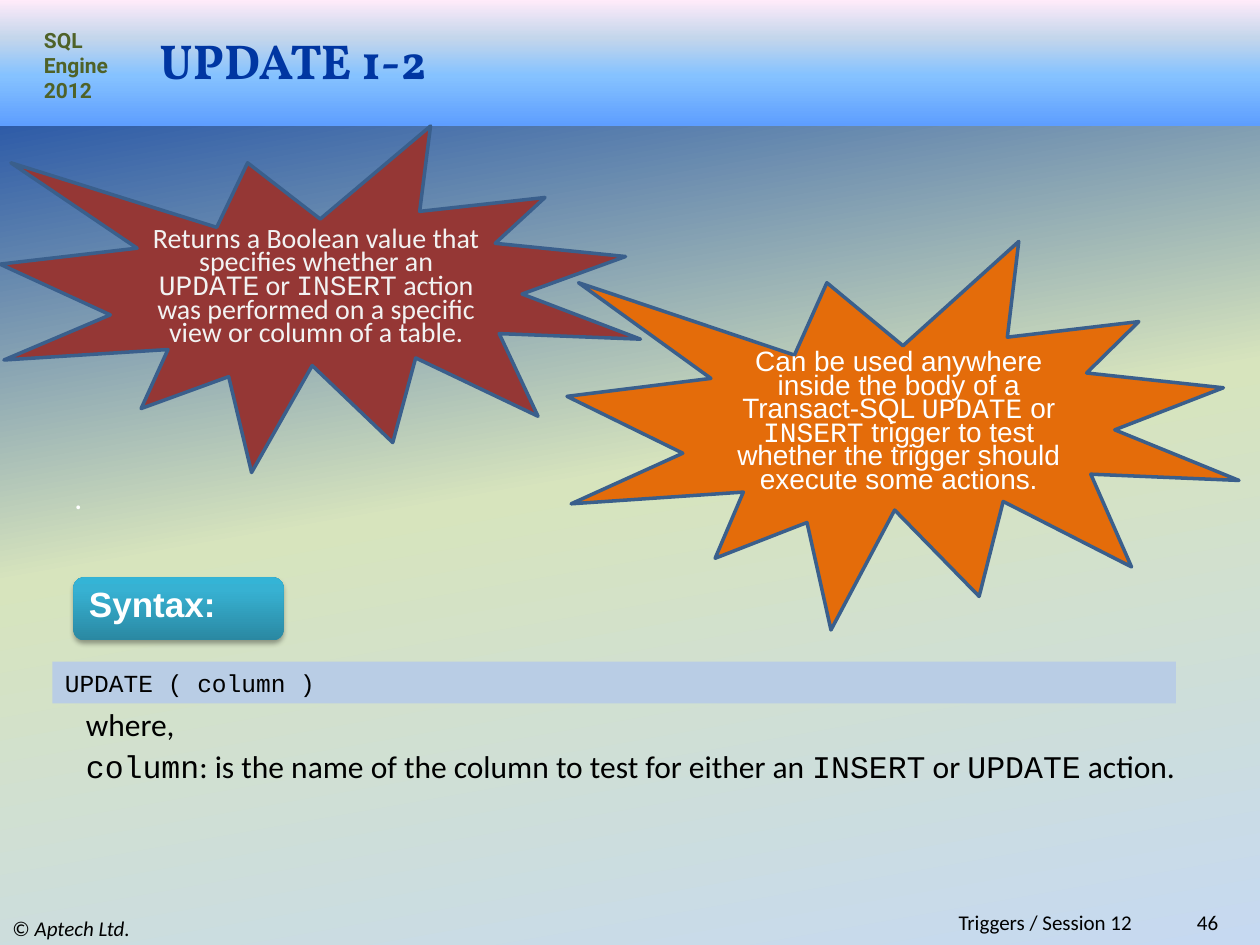
from lxml.etree import SubElement
from pptx import Presentation
from pptx.dml.color import RGBColor
from pptx.enum.shapes import MSO_SHAPE as Shape
from pptx.enum.text import MSO_ANCHOR as Anchor, PP_ALIGN as Align
from pptx.oxml.ns import qn
from pptx.util import Inches, Pt

BLACK = RGBColor(0, 0, 0)
WHITE = RGBColor(255, 255, 255)
PALE = RGBColor(0xF2, 0xF2, 0xF2)
NAVY = RGBColor(0x00, 0x36, 0xA2)
OLIVE = RGBColor(0x4F, 0x62, 0x28)
MAROON = RGBColor(0x95, 0x37, 0x35)
ORANGE = RGBColor(0xE4, 0x6C, 0x0A)
EDGE = RGBColor(0x3A, 0x5F, 0x8C)
CODE_BAND = RGBColor(0xB9, 0xCD, 0xE5)
SKY = [(0, NAVY), (50, RGBColor(0xD7, 0xE4, 0xBD)), (100, RGBColor(0xC6, 0xD9, 0xF1))]
HEADER = [(0, RGBColor(0x5E, 0x9E, 0xFF)), (40, RGBColor(0x85, 0xC2, 0xFF)),
          (70, RGBColor(0xC4, 0xD6, 0xEB)), (100, RGBColor(0xFF, 0xEB, 0xFA))]
TEAL = [(0, RGBColor(0x2A, 0x88, 0xA2)), (80, RGBColor(0x37, 0xB1, 0xD2)),
        (100, RGBColor(0x34, 0xB4, 0xD6))]
CODE = "Courier New"
CELL = Inches(1) / 12  # the page is a grid of 120 columns by 90 rows


def paint_gradient(fill, element, stops, angle):
    """Fill with any number of stops; the angle runs counter-clockwise."""
    fill.gradient()
    fill.gradient_angle = angle
    stop_list = element.find(".//" + qn("a:gsLst"))
    for old in list(stop_list):
        stop_list.remove(old)
    for position, color in stops:
        stop = SubElement(stop_list, qn("a:gs"), pos=str(position * 1000))
        SubElement(stop, qn("a:srgbClr"), val=str(color))


def write(box, lines, size, color, font="Calibri", accent=CODE, bold=False,
          align=Align.LEFT, anchor=Anchor.MIDDLE, spacing=None):
    """Write one paragraph per line; words in backticks take the accent font."""
    frame = box.text_frame
    frame.word_wrap = True
    frame.vertical_anchor = anchor
    for row, line in enumerate(lines):
        para = frame.add_paragraph() if row else frame.paragraphs[0]
        para.alignment = align
        if spacing:
            para.line_spacing = spacing
        if row:
            para.space_before = Pt(size / 2)
        for number, words in enumerate(line.split("`")):
            if words:
                span = para.add_run()
                span.text = words
                span.font.name = accent if number % 2 else font
                span.font.size = Pt(size)
                span.font.bold = bold
                span.font.color.rgb = color


deck = Presentation()
deck.slide_width, deck.slide_height = Inches(10), Inches(7.5)
page = deck.slides.add_slide(deck.slide_layouts[6])
paint_gradient(page.background.fill, page.element, SKY, 280)

# Plain shapes: preset, then left, top, width, height in grid cells
shapes = []
for preset, *cells in [
    (Shape.RECTANGLE, 0, 0, 120, 12),
    (Shape.EXPLOSION1, 0, 12, 61, 33),
    (Shape.EXPLOSION1, 54, 23, 64, 37),
    (Shape.RECTANGLE, 5, 63, 107, 4),
    (Shape.ROUNDED_RECTANGLE, 7, 55, 20, 6),
]:
    shape = page.shapes.add_shape(preset, *[int(n * CELL) for n in cells])
    shape.shadow.inherit = False
    shape.line.fill.background()
    shapes.append(shape)
header, returns_seal, usage_seal, code_band, syntax_button = shapes

paint_gradient(header.fill, header.element, HEADER, 90)

for seal, fill, color, font, words in [
    (returns_seal, MAROON, PALE, "Calibri",
     "Returns a Boolean value that specifies whether an `UPDATE` or `INSERT` action "
     "was performed on a specific view or column of a table."),
    (usage_seal, ORANGE, WHITE, "Arial",
     "Can be used anywhere inside the body of a Transact-SQL `UPDATE` or `INSERT` "
     "trigger to test whether the trigger should execute some actions."),
]:
    seal.fill.solid()
    seal.fill.fore_color.rgb = fill
    seal.line.color.rgb = EDGE
    seal.line.width = Pt(2)
    write(seal, [words], 16, color, font, align=Align.CENTER, spacing=0.7)

code_band.fill.solid()
code_band.fill.fore_color.rgb = CODE_BAND
write(code_band, ["UPDATE ( column )"], 14, BLACK, CODE, anchor=Anchor.TOP)

paint_gradient(syntax_button.fill, syntax_button.element, TEAL, 90)
effects = syntax_button.element.spPr.find(qn("a:effectLst"))
shadow = SubElement(effects, qn("a:outerShdw"), blurRad=str(Pt(3.1)), dist=str(Pt(1.8)),
                    dir="5400000", rotWithShape="0")
shadow_color = SubElement(shadow, qn("a:srgbClr"), val=str(BLACK))
SubElement(shadow_color, qn("a:alpha"), val="35000")
write(syntax_button, ["Syntax:"], 20, WHITE, "Arial", bold=True, spacing=0.7)

# Text boxes: cells, lines, size, colour, then other settings
boxes = []
for cells, lines, size, color, settings in [
    ((0, 86.75, 40, 3.25), ["© `Aptech Ltd.`"], 12, BLACK, dict(accent="Calibri")),
    ((3, 2, 9, 8.5), ["SQL Engine 2012"], 12, OLIVE,
     dict(font="Roboto", bold=True, anchor=Anchor.TOP)),
    ((107, 86.75, 10.2, 2.2), ["46"], 12, BLACK, dict(align=Align.RIGHT)),
    ((30, 86.75, 79, 2.2), ["Triggers / Session 12"], 12, BLACK, dict(align=Align.RIGHT)),
    ((14, 3, 100, 5.4), ["UPDATE 1-2"], 28, NAVY, dict(font="Vollkorn", bold=True)),
    ((5.9, 42.5, 105, 10), ["."], 18, WHITE, dict(spacing=0.9)),
    ((7, 67.5, 108, 8), ["where,", "`column`: is the name of the column to test for "
                         "either an `INSERT` or `UPDATE` action."], 18, BLACK,
     dict(anchor=Anchor.TOP, spacing=0.7)),
]:
    box = page.shapes.add_textbox(*[int(n * CELL) for n in cells])
    write(box, lines, size, color, **settings)
    boxes.append(box)
copyright_box = boxes[0]
copyright_box.text_frame.paragraphs[0].runs[1].font.italic = True

deck.save("out.pptx")
